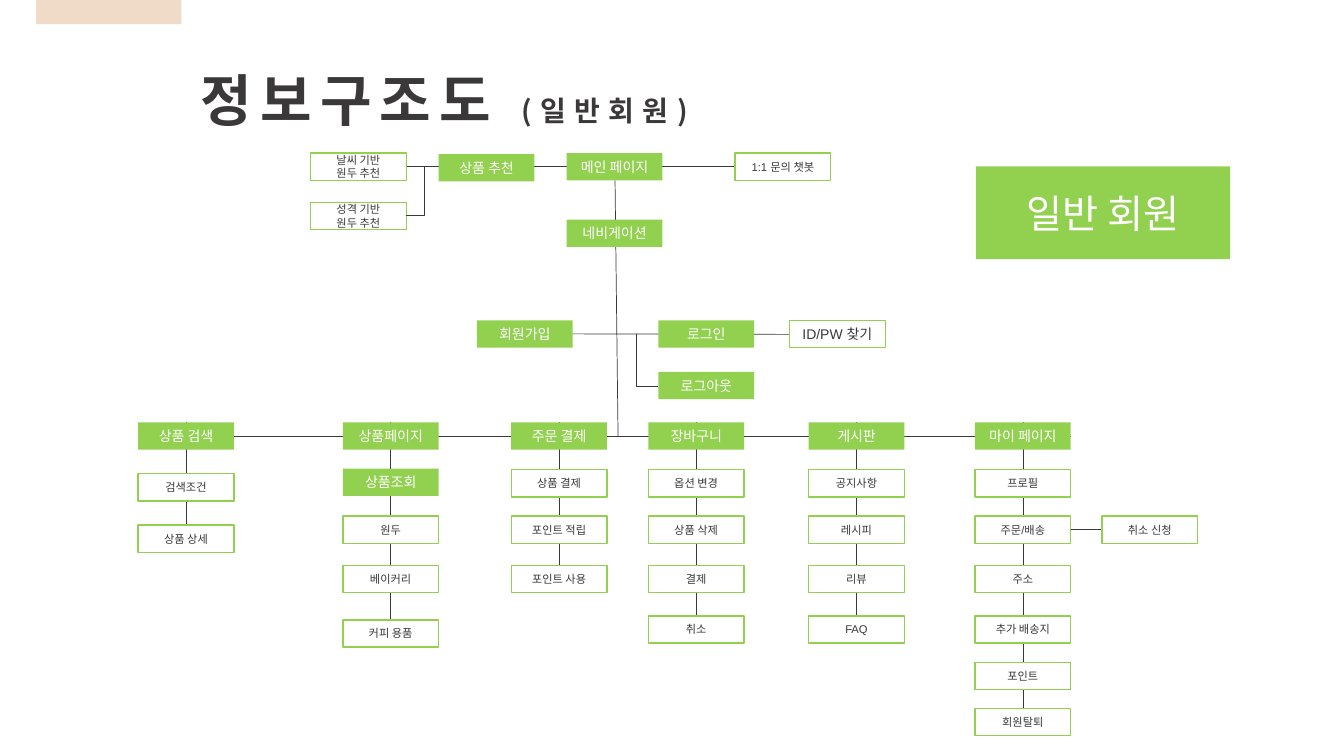
from copy import deepcopy
from lxml import etree
from pptx import Presentation
from pptx import util as u
from pptx.dml.color import RGBColor
from pptx.enum import shapes, text
from pptx.oxml.ns import qn

GREEN, WHITE, DARK, BEIGE = "92D050", "FFFFFF", "3A3838", "EFDBC7"
SLIDE_W, SLIDE_H = 13.33, 7.5
BOX_W, BOX_H = 0.95, 0.27
MENU_TOP = 4.19
ROWS = (4.66, 5.12, 5.61, 6.11, 6.57, 7.03)
SEARCH_ROWS = (4.7, 5.21)
PRODUCT_ROWS = (4.65, 5.12, 5.61, 6.15)

TITLE = [("정보구조도 ", 40), ("(일반회원)", 20)]
MENUS = [
    (1.37, "상품 검색", SEARCH_ROWS, ["검색조건", "상품 상세"]),
    (3.4, "상품페이지", PRODUCT_ROWS, ["상품조회", "원두", "베이커리", "커피 용품"]),
    (5.07, "주문 결제", ROWS, ["상품 결제", "포인트 적립", "포인트 사용"]),
    (6.43, "장바구니", ROWS, ["옵션 변경", "상품 삭제", "결제", "취소"]),
    (8.02, "게시판", ROWS, ["공지사항", "레시피", "리뷰", "FAQ"]),
    (9.67, "마이 페이지", ROWS,
     ["프로필", "주문/배송", "주소", "추가 배송지", "포인트", "회원탈퇴"]),
]
SOLID_ITEMS = {"상품조회"}
SOLID_BOXES = [
    (4.35, 1.53, "상품 추천"), (5.62, 1.52, "메인 페이지"), (5.62, 2.18, "네비게이션"),
    (4.73, 3.18, "회원가입"), (6.53, 3.18, "로그인"), (6.53, 3.69, "로그아웃"),
]
OUTLINE_BOXES = [
    (3.08, 1.52, "날씨 기반\n원두 추천", 8), (3.08, 2.01, "성격 기반\n원두 추천", 8),
    (7.29, 1.52, "1:1 문의 챗봇", 8), (7.83, 3.18, "ID/PW 찾기", 10),
    (10.93, 5.12, "취소 신청", 8),
]
LINKS = [
    (10.62, 5.25, 11.88, 5.25), (4.73, 3.31, 8.78, 3.32), (6.1, 1.79, 6.13, 4.33),
    (1.37, 4.33, 10.62, 4.33), (3.08, 1.65, 8.24, 1.65),
]
ELBOWS = [
    [(4.21, 1.65), (4.21, 2.14), (4.03, 2.14)],
    [(6.31, 3.31), (6.31, 3.83), (6.53, 3.83)],
]

prs = Presentation()
prs.slide_width, prs.slide_height = u.Inches(SLIDE_W), u.Inches(SLIDE_H)
s = prs.slides.add_slide(prs.slide_layouts[6])


def rgb(value):
    return RGBColor.from_string(value)


def assign(obj, values):
    for name, value in values.items():
        setattr(obj, name, value)


def style_run(r, size, color, font="Arial", bold=False):
    assign(r.font, {"size": u.Pt(size), "name": font, "bold": bold})
    r.font.color.rgb = rgb(color)
    ea = etree.SubElement(r.font._element, qn("a:ea"))
    ea.set("typeface", "Noto Sans CJK KR")


def style_line(line, color, width):
    line.color.rgb = rgb(color)
    line.width = u.Pt(width)


def rect(x, y, w, h, fill, outline=None):
    sp = s.shapes.add_shape(shapes.MSO_SHAPE.RECTANGLE, *map(u.Inches, (x, y, w, h)))
    sp.shadow.inherit = False
    sp.fill.solid()
    sp.fill.fore_color.rgb = rgb(fill)
    if outline:
        style_line(sp.line, outline, 1)
    else:
        sp.line.fill.background()
    return sp


def box(x, y, label, size, solid, w=BOX_W, h=BOX_H):
    sp = rect(x, y, w, h, GREEN if solid else WHITE, None if solid else GREEN)
    tf = sp.text_frame
    assign(tf, {
        "word_wrap": True, "vertical_anchor": text.MSO_ANCHOR.MIDDLE,
        "margin_left": u.Inches(0.04), "margin_right": u.Inches(0.04),
        "margin_top": u.Inches(0.05), "margin_bottom": u.Inches(0.05),
    })
    p = tf.paragraphs[0]
    p.text = label
    p.alignment = text.PP_ALIGN.CENTER
    for r in p.runs:
        style_run(r, size, WHITE if solid else DARK)
    for br in p._p.findall(qn("a:br")):
        br.append(deepcopy(p.runs[0].font._element))


def link(*ends):
    c = s.shapes.add_connector(shapes.MSO_CONNECTOR.STRAIGHT, *map(u.Inches, ends))
    style_line(c.line, DARK, 0.5)
    etree.SubElement(c._element.spPr, qn("a:effectLst"))


def elbow(points):
    start, *rest = [tuple(map(u.Inches, point)) for point in points]
    fb = s.shapes.build_freeform(*start)
    fb.add_line_segments(rest, close=False)
    sp = fb.convert_to_shape()
    sp.shadow.inherit = False
    sp.fill.background()
    style_line(sp.line, DARK, 0.5)


def title():
    tb = s.shapes.add_textbox(*map(u.Inches, (1.89, 0.6, 5.34, 0.76)))
    tf = tb.text_frame
    assign(tf, {"word_wrap": False, "auto_size": text.MSO_AUTO_SIZE.SHAPE_TO_FIT_TEXT})
    for words, size in TITLE:
        r = tf.paragraphs[0].add_run()
        r.text = words
        style_run(r, size, DARK, "Noto Sans CJK KR", True)
        r.font._element.set("spc", "600")


rect(0.36, 0, 1.44, 0.24, BEIGE)
title()
for ends in LINKS:
    link(*ends)
for x, header, rows, items in MENUS:
    middle = x + BOX_W / 2
    link(middle, MENU_TOP, middle, rows[len(items) - 1] + BOX_H)
for x, header, rows, items in MENUS:
    box(x, MENU_TOP, header, 10, True)
    for y, item in zip(rows, items):
        solid = item in SOLID_ITEMS
        box(x, y, item, 10 if solid else 8, solid)
for x, y, label in SOLID_BOXES:
    box(x, y, label, 10, True)
for x, y, label, size in OUTLINE_BOXES:
    box(x, y, label, size, False)
box(9.68, 1.65, "일반 회원", 28, True, 2.52, 0.92)
for points in ELBOWS:
    elbow(points)

prs.save("out.pptx")
